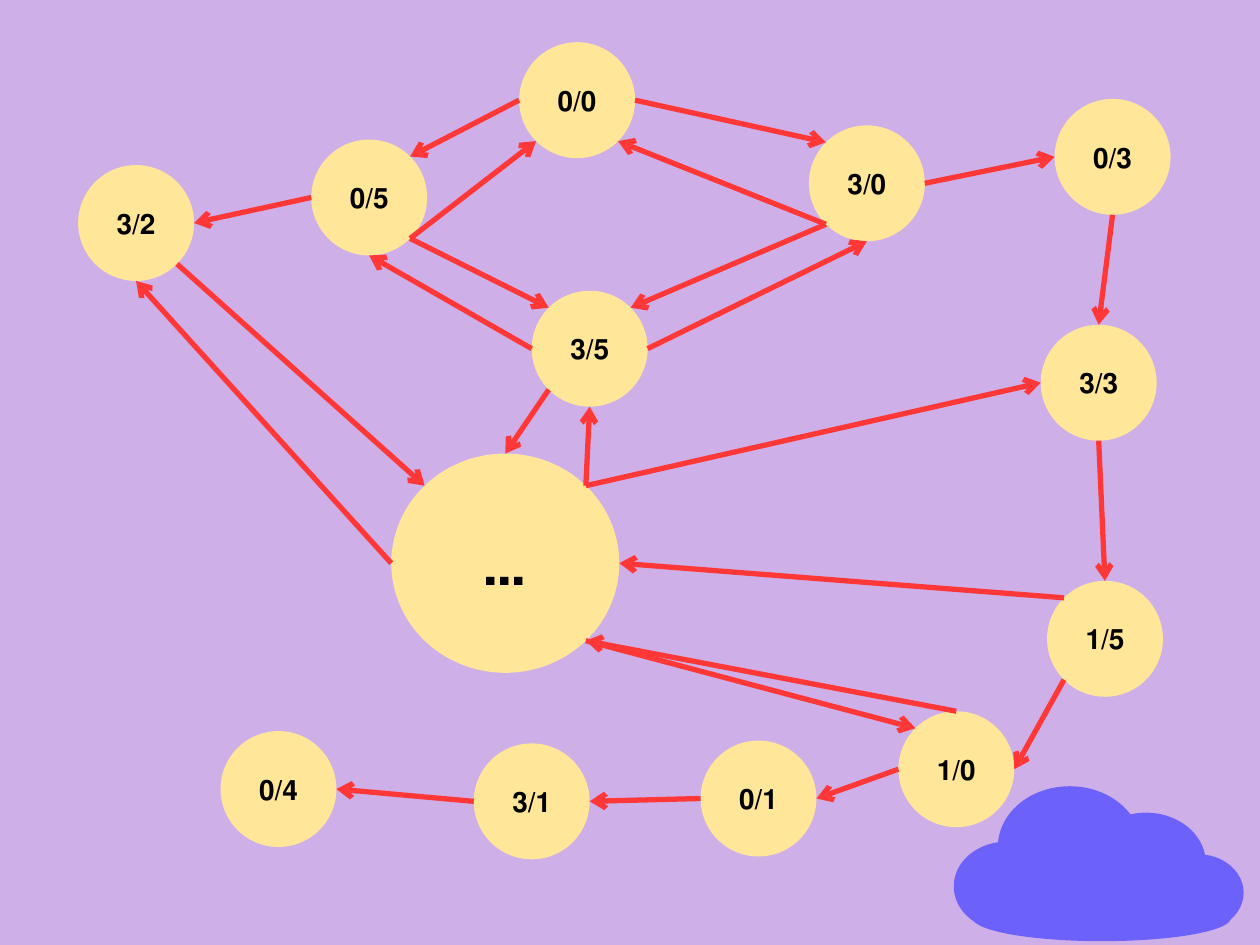
import math
import pptx
import pptx.util
import pptx.dml.color
import pptx.enum.shapes
import pptx.enum.text
import pptx.oxml.ns
import lxml.etree

WIDTH, HEIGHT = 10, 7.5
STATE_SIZE = 0.92
LILAC, YELLOW, RED, VIOLET, BLACK = "CFAFE7", "FFE699", "FF3737", "6C61FB", "000000"

# Connection sites of an ellipse, counterclockwise from the top
SITES = ["top", "top left", "left", "bottom left",
         "bottom", "bottom right", "right", "top right"]

# Centre of each state, as shares of the slide's width and height
STATES = {
    "0/0": (0.458, 0.106), "3/0": (0.688, 0.194), "0/5": (0.293, 0.209),
    "3/5": (0.468, 0.369), "0/3": (0.883, 0.166), "3/2": (0.108, 0.236),
    "3/3": (0.872, 0.405), "1/5": (0.877, 0.676), "1/0": (0.759, 0.814),
    "0/1": (0.602, 0.845), "3/1": (0.422, 0.848), "0/4": (0.221, 0.835),
}

# Start state and side, end state and side
MOVES = [
    ("0/0", "right", "3/0", "top left"),
    ("0/0", "left", "0/5", "top right"),
    ("0/5", "bottom right", "0/0", "bottom left"),
    ("3/0", "bottom left", "0/0", "bottom right"),
    ("3/0", "bottom left", "3/5", "top right"),
    ("0/5", "bottom right", "3/5", "top left"),
    ("3/0", "right", "0/3", "left"),
    ("0/5", "left", "3/2", "right"),
    ("3/5", "left", "0/5", "bottom"),
    ("3/5", "right", "3/0", "bottom"),
    ("0/3", "bottom", "3/3", "top"),
    ("3/3", "bottom", "1/5", "top"),
    ("1/5", "bottom left", "1/0", "right"),
    ("1/0", "left", "0/1", "right"),
    ("0/1", "left", "3/1", "right"),
    ("3/1", "left", "0/4", "right"),
    ("…", "top right", "3/3", "left"),
    ("…", "bottom right", "1/0", "top left"),
    ("1/5", "top left", "…", "right"),
    ("1/0", "top", "…", "bottom right"),
    ("…", "left", "3/2", "bottom"),
    ("3/2", "bottom right", "…", "top left"),
    ("3/5", "bottom left", "…", "top"),
    ("…", "top right", "3/5", "bottom"),
]

# Left, top, width and height of each puff, in inches
CLOUD = [
    (9.15, 6.78, 0.72, 0.61), (8.62, 6.45, 0.95, 0.8), (7.92, 6.24, 1.14, 0.96),
    (7.57, 6.68, 0.84, 0.71), (7.72, 7.1, 2.05, 0.37),
]


def color(code):
    return pptx.dml.color.RGBColor.from_string(code)


def add_ellipse(shapes, left, top, width, height, fill):
    ellipse = shapes.add_shape(
        pptx.enum.shapes.MSO_SHAPE.OVAL,
        *(pptx.util.Inches(length) for length in (left, top, width, height)))
    ellipse.shadow.inherit = False
    ellipse.fill.solid()
    ellipse.fill.fore_color.rgb = color(fill)
    ellipse.line.fill.background()
    return ellipse


def add_state(page, label, center, width=STATE_SIZE, height=STATE_SIZE, size=16):
    left = center[0] * WIDTH - width / 2
    top = center[1] * HEIGHT - height / 2
    state = add_ellipse(page.shapes, left, top, width, height, YELLOW)
    frame = state.text_frame
    frame.vertical_anchor = pptx.enum.text.MSO_ANCHOR.MIDDLE
    para = frame.paragraphs[0]
    para.text = label
    para.alignment = pptx.enum.text.PP_ALIGN.CENTER
    para._p.get_or_add_pPr().set("rtl", "1")
    para.font.name = "Arial"
    para.font.size = pptx.util.Pt(size)
    para.font.bold = True
    para.font.color.rgb = color(BLACK)
    return state


def site_point(state, side):
    angle = math.radians(90 + 45 * SITES.index(side))
    x = state.left + state.width / 2 * (1 + math.cos(angle))
    y = state.top + state.height / 2 * (1 - math.sin(angle))
    return round(x), round(y)


def add_arrow(page, start, start_side, end, end_side):
    arrow = page.shapes.add_connector(
        pptx.enum.shapes.MSO_CONNECTOR.STRAIGHT,
        *site_point(start, start_side), *site_point(end, end_side))
    arrow.line.color.rgb = color(RED)
    arrow.line.width = pptx.util.Pt(3)
    name = pptx.oxml.ns.qn
    # Arrowhead, no shadow
    lxml.etree.SubElement(arrow.line._get_or_add_ln(), name("a:tailEnd"), type="arrow")
    lxml.etree.SubElement(arrow._element.spPr, name("a:effectLst"))
    # Glue both ends to the states
    glue = arrow._element.find(".//" + name("p:cNvCxnSpPr"))
    for tag, state, side in (("a:stCxn", start, start_side), ("a:endCxn", end, end_side)):
        lxml.etree.SubElement(glue, name(tag), id=str(state.shape_id),
                              idx=str(SITES.index(side)))


def add_cloud(page):
    cloud = page.shapes.add_group_shape()
    for puff in CLOUD:
        add_ellipse(cloud.shapes, *puff, VIOLET)


def main():
    deck = pptx.Presentation()
    deck.slide_width = pptx.util.Inches(WIDTH)
    deck.slide_height = pptx.util.Inches(HEIGHT)
    page = deck.slides.add_slide(deck.slide_layouts[6])
    page.background.fill.solid()
    page.background.fill.fore_color.rgb = color(LILAC)

    add_cloud(page)

    # States, with the large one standing for the steps left out
    states = {label: add_state(page, label, center) for label, center in STATES.items()}
    states["…"] = add_state(page, "…", (0.401, 0.596), 1.81, 1.74, 32)

    # Moves between states
    for start, start_side, end, end_side in MOVES:
        add_arrow(page, states[start], start_side, states[end], end_side)

    deck.save("out.pptx")


main()
